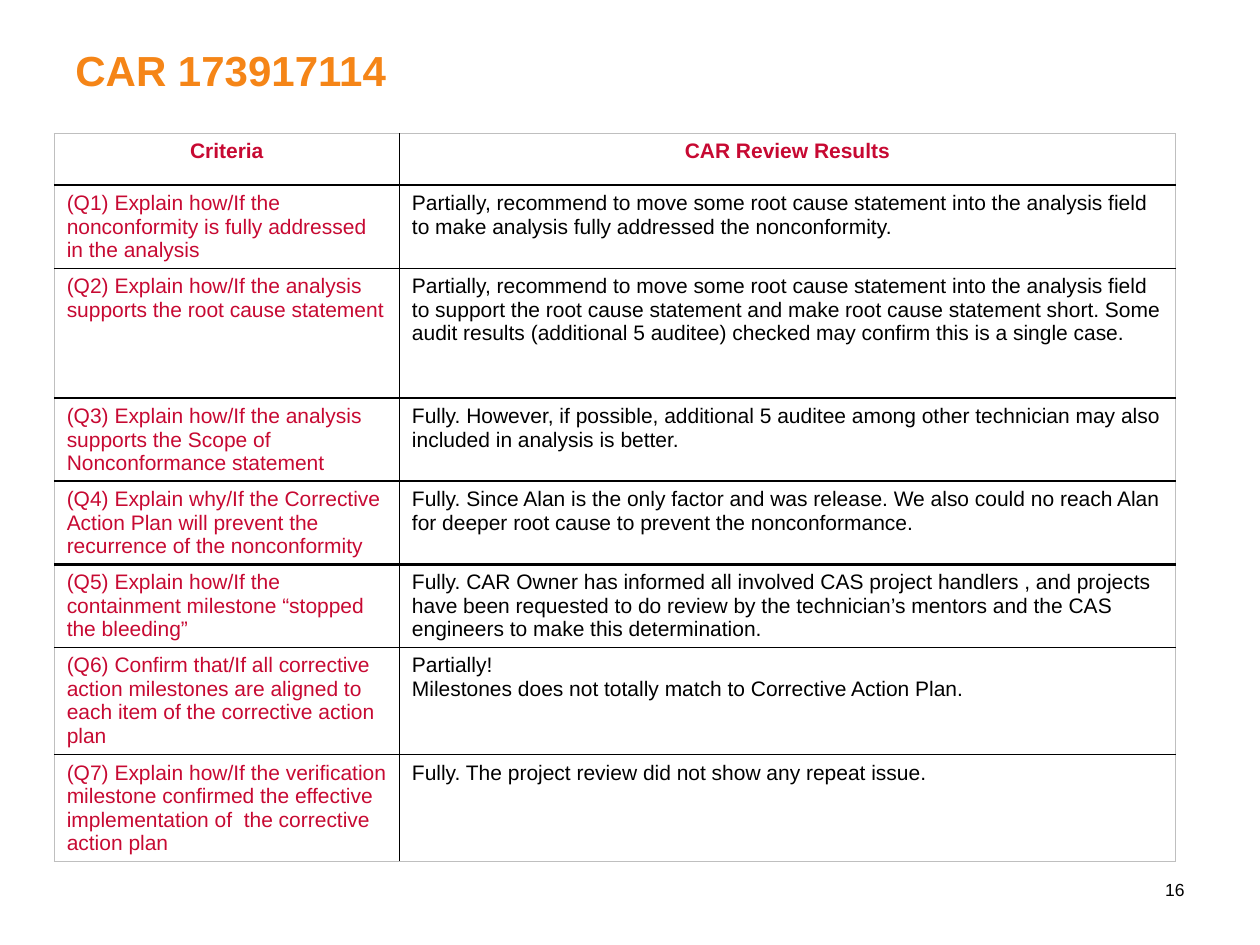
from lxml.etree import SubElement
from pptx import Presentation
from pptx.dml.color import RGBColor
from pptx.enum.text import MSO_ANCHOR, PP_ALIGN
from pptx.oxml.ns import qn
from pptx.util import Inches, Pt

ORANGE = RGBColor(0xF5, 0x85, 0x17)
CRIMSON = RGBColor(0xC7, 0x09, 0x32)
BLACK = RGBColor(0, 0, 0)
GRAY = RGBColor(0xBF, 0xBF, 0xBF)

COLUMN_WIDTHS = (2.74, 6.16)
ROW_HEIGHTS = (0.41, 0.66, 1.03, 0.66, 0.66, 0.66, 0.85, 0.85)
THICK_RULE_ROW = 4  # the rule below this row is heavier

# Each cell is a list of paragraphs.
ROWS = [
    (["Criteria"], ["CAR Review Results"]),
    (["(Q1) Explain how/If the nonconformity is fully addressed in the analysis"],
     ["Partially, recommend to move some root cause statement into the analysis "
      "field to make analysis fully addressed the nonconformity."]),
    (["(Q2) Explain how/If the analysis supports the root cause statement"],
     ["Partially, recommend to move some root cause statement into the analysis "
      "field to support the root cause statement and make root cause statement "
      "short. Some audit results (additional 5 auditee) checked may confirm this "
      "is a single case."]),
    (["(Q3) Explain how/If the analysis supports the Scope of Nonconformance "
      "statement"],
     ["Fully. However, if possible, additional 5 auditee among other technician "
      "may also included in analysis is better."]),
    (["(Q4) Explain why/If the Corrective Action Plan will prevent the recurrence "
      "of the nonconformity"],
     ["Fully. Since Alan is the only factor and was release. We also could no "
      "reach Alan for deeper root cause to prevent the nonconformance."]),
    (["(Q5) Explain how/If the containment milestone “stopped the bleeding”"],
     ["Fully. CAR Owner has informed all involved CAS project handlers , and "
      "projects have been requested to do review by the technician’s mentors and "
      "the CAS engineers to make this determination."]),
    (["(Q6) Confirm that/If all corrective action milestones are aligned to each "
      "item of the corrective action plan"],
     ["Partially!",
      "Milestones does not totally match to Corrective Action Plan."]),
    (["(Q7) Explain how/If the verification milestone confirmed the effective "
      "implementation of  the corrective action plan"],
     ["Fully. The project review did not show any repeat issue."]),
]


def write_paragraphs(frame, texts, size, color, bold=False, align=PP_ALIGN.LEFT):
    frame.word_wrap = True
    for index, text in enumerate(texts):
        para = frame.add_paragraph() if index else frame.paragraphs[0]
        para.alignment = align
        span = para.add_run()
        span.text = text
        span.font.name = "Arial"
        span.font.size = Pt(size)
        span.font.bold = bold
        span.font.color.rgb = color
        # The paragraph mark must not make the last line taller than its text.
        SubElement(para._p, qn("a:endParaRPr"), sz=str(size * 100))


def add_label(page, left, top, width, height, text, size, color,
              bold=False, align=PP_ALIGN.LEFT, anchor=MSO_ANCHOR.TOP):
    box = page.shapes.add_textbox(Inches(left), Inches(top),
                                  Inches(width), Inches(height))
    box.text_frame.vertical_anchor = anchor
    write_paragraphs(box.text_frame, [text], size, color, bold, align)


def set_border(properties, side, color, width):
    """Add one border; call in the order L, R, T, B, before any fill is set."""
    line = SubElement(properties, qn(f"a:ln{side}"), w=str(Pt(width)))
    fill = SubElement(line, qn("a:solidFill"))
    SubElement(fill, qn("a:srgbClr"), val=str(color))


def set_borders(cell, row, column):
    """Black rules between cells, a thin gray frame around the table."""
    outer, inner, thick = (GRAY, 0.5), (BLACK, 1), (BLACK, 2.25)
    last_row, last_column = len(ROWS) - 1, len(COLUMN_WIDTHS) - 1

    def rule_below(index):
        if index in (-1, last_row):
            return outer
        return thick if index == THICK_RULE_ROW else inner

    properties = cell._tc.get_or_add_tcPr()
    set_border(properties, "L", *(inner if column else outer))
    set_border(properties, "R", *(inner if column < last_column else outer))
    set_border(properties, "T", *rule_below(row - 1))
    set_border(properties, "B", *rule_below(row))


def add_review_table(page):
    table = page.shapes.add_table(
        len(ROWS), len(COLUMN_WIDTHS), Inches(0.43), Inches(1.06),
        Inches(sum(COLUMN_WIDTHS)), Inches(sum(ROW_HEIGHTS))).table
    table.horz_banding = False
    for column, width in zip(table.columns, COLUMN_WIDTHS):
        column.width = Inches(width)
    for row, height in zip(table.rows, ROW_HEIGHTS):
        row.height = Inches(height)
    for r, texts_by_column in enumerate(ROWS):
        for c, texts in enumerate(texts_by_column):
            cell = table.cell(r, c)
            header = r == 0
            set_borders(cell, r, c)
            cell.fill.background()
            cell.margin_bottom = Inches(0)
            write_paragraphs(cell.text_frame, texts, 12,
                             CRIMSON if header or c == 0 else BLACK, header,
                             PP_ALIGN.CENTER if header else PP_ALIGN.LEFT)


def main():
    deck = Presentation()
    deck.slide_width, deck.slide_height = Inches(10), Inches(7.5)
    page = deck.slides.add_slide(deck.slide_layouts[6])
    add_label(page, 0.5, 0.3, 9, 1.25, "CAR 173917114", 24, ORANGE, bold=True)
    add_label(page, 8.8, 6.86, 0.7, 0.4, "16", 10, BLACK,
              align=PP_ALIGN.RIGHT, anchor=MSO_ANCHOR.MIDDLE)
    add_review_table(page)
    deck.save("out.pptx")


if __name__ == "__main__":
    main()
